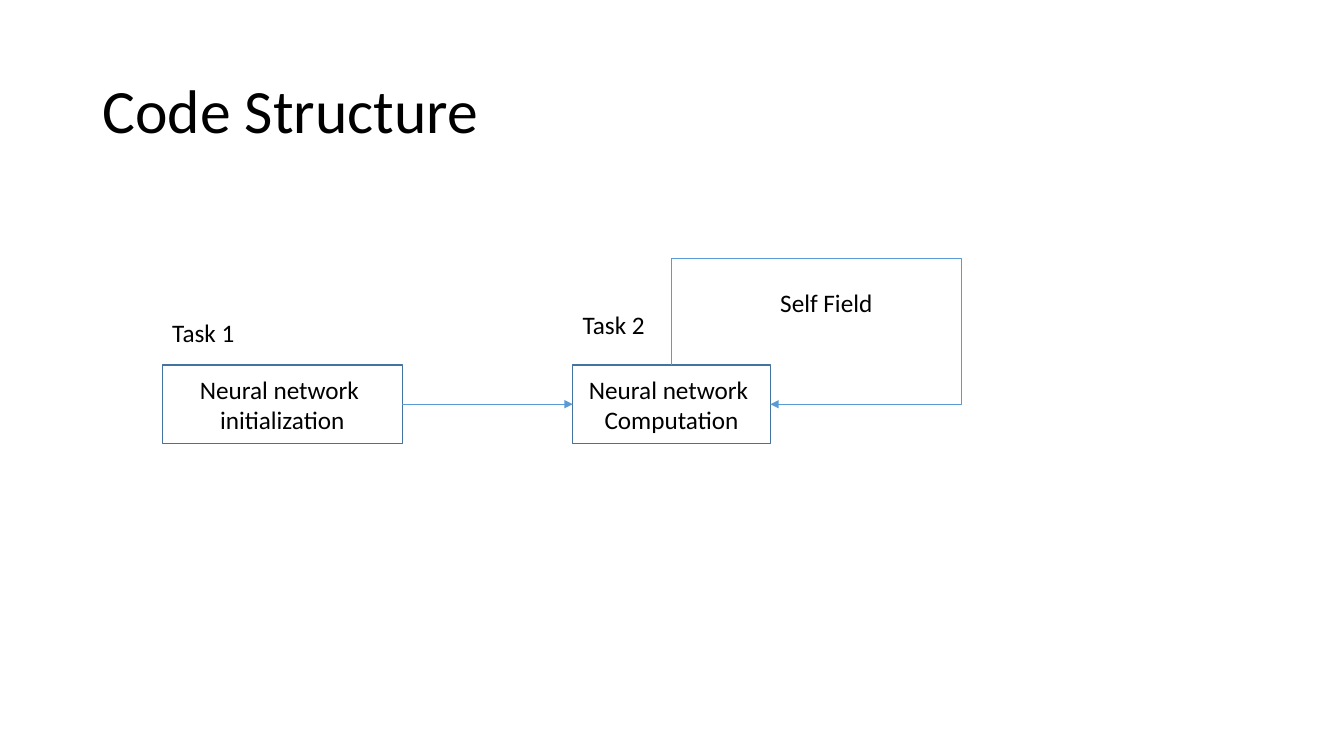
from pptx import Presentation
from pptx.dml.color import RGBColor as Rgb
from pptx.enum.shapes import MSO_CONNECTOR as Link, MSO_SHAPE as Preset
from pptx.enum.text import MSO_ANCHOR as Anchor, MSO_AUTO_SIZE as AutoSize, PP_ALIGN as Align
from pptx.oxml.ns import qn
from pptx.util import Inches, Pt
from lxml.etree import SubElement

COLORS = {"text": "000000", "border": "43739E", "arrow": "5B9BD5"}
FONT = "Calibri"
TOP, RIGHT, LEFT = 0, 3, 1  # connection sites of a rectangle
BOX_TOP, BOX_HEIGHT = 3.62, 0.78
LOOP_TOP, LOOP_RIGHT = 2.56, 9.53


def write(frame, text, size=18, align=Align.LEFT):
    frame.text = text
    for para in frame.paragraphs:
        para.alignment = align
        for span in para.runs:
            span.font.name = FONT
            span.font.size = Pt(size)
            span.font.color.rgb = Rgb.from_string(COLORS["text"])


def add_title(slide, text):
    box = slide.shapes.add_textbox(Inches(0.92), Inches(0.4), Inches(11.5), Inches(1.45))
    frame = box.text_frame
    frame.word_wrap = True
    frame.vertical_anchor = Anchor.MIDDLE
    write(frame, text, 44)
    frame.paragraphs[0].line_spacing = 0.9


def add_label(slide, text, left, top, width):
    box = slide.shapes.add_textbox(Inches(left), Inches(top), Inches(width), Inches(0.4))
    box.text_frame.word_wrap = False
    box.text_frame.auto_size = AutoSize.SHAPE_TO_FIT_TEXT
    write(box.text_frame, text)


def add_task_box(slide, text, left, width):
    box = slide.shapes.add_shape(Preset.RECTANGLE, Inches(left), Inches(BOX_TOP),
                                 Inches(width), Inches(BOX_HEIGHT))
    box.shadow.inherit = False
    box.fill.background()
    box.line.color.rgb = Rgb.from_string(COLORS["border"])
    box.line.width = Pt(1)
    box.text_frame.vertical_anchor = Anchor.MIDDLE
    write(box.text_frame, text, align=Align.CENTER)
    return box


def add_arrow(slide, kind, source, source_site, target, target_site):
    arrow = slide.shapes.add_connector(kind, 0, 0, 0, 0)
    arrow.begin_connect(source, source_site)
    arrow.end_connect(target, target_site)
    arrow.line.color.rgb = Rgb.from_string(COLORS["arrow"])
    arrow.line.width = Pt(0.5)
    SubElement(arrow.line._get_or_add_ln(), qn("a:tailEnd"), type="triangle")
    SubElement(arrow._element.spPr, qn("a:effectLst"))
    return arrow


def add_self_loop(slide, box):
    """Leave the top of the box, go round and come back at its right side."""
    arrow = add_arrow(slide, Link.ELBOW, box, TOP, box, RIGHT)
    start_x, start_y = arrow.begin_x, arrow.begin_y
    across, down = arrow.end_x - start_x, arrow.end_y - start_y

    # The route is drawn upright, then turned about its centre
    arrow.left = start_x + (across - down) // 2
    arrow.top = start_y + (down - across) // 2
    arrow.width, arrow.height = down, across
    frame = arrow._element.spPr.find(qn("a:xfrm"))
    frame.set("rot", str(270 * 60000))
    frame.set("flipH", "1")

    # Bends, as shares of the two distances
    bends = [(Inches(LOOP_TOP) - start_y) / down, (Inches(LOOP_RIGHT) - start_x) / across]
    geometry = arrow._element.spPr.find(qn("a:prstGeom"))
    geometry.set("prst", "bentConnector4")
    guides = geometry.find(qn("a:avLst"))
    for number, bend in enumerate(bends, 1):
        SubElement(guides, qn("a:gd"), name=f"adj{number}", fmla=f"val {round(bend * 100000)}")


def main():
    deck = Presentation()
    deck.slide_width, deck.slide_height = Inches(13.33), Inches(7.5)
    slide = deck.slides.add_slide(deck.slide_layouts[6])

    add_title(slide, "Code Structure")

    # Tasks and the flow between them
    setup = add_task_box(slide, "Neural network \vinitialization", 1.61, 2.38)
    computation = add_task_box(slide, "Neural network \vComputation", 5.68, 1.96)
    add_arrow(slide, Link.STRAIGHT, setup, RIGHT, computation, LEFT)
    add_self_loop(slide, computation)

    # Labels
    add_label(slide, "Task 1", 1.61, 3.1, 0.82)
    add_label(slide, "Task 2", 5.68, 3.02, 0.82)
    add_label(slide, "Self Field", 7.64, 2.8, 1.13)

    deck.save("out.pptx")


main()
